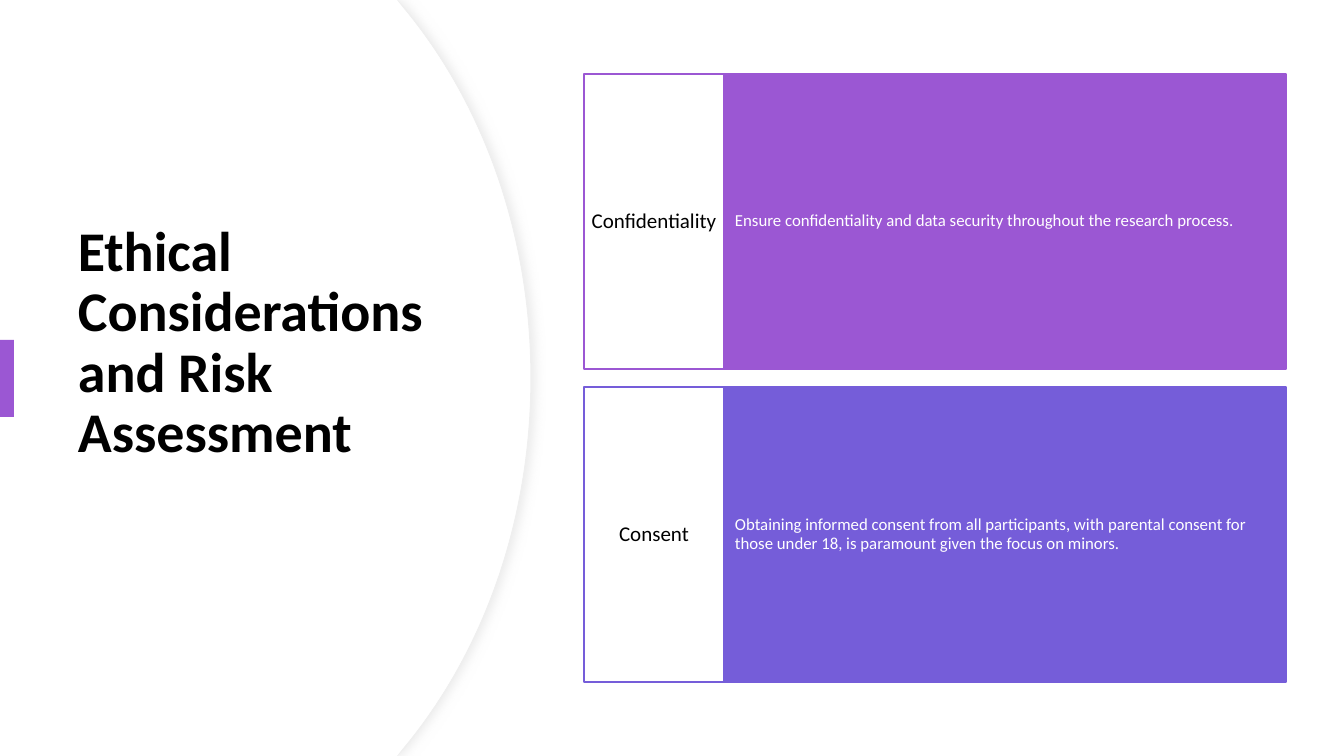
from lxml import etree
from pptx import Presentation
from pptx.dml.color import RGBColor
from pptx.enum.shapes import MSO_SHAPE as Shape
from pptx.enum.text import MSO_ANCHOR as Anchor, PP_ALIGN as Align
from pptx.oxml import parse_xml
from pptx.oxml.ns import nsdecls, qn
from pptx.util import Emu, Pt

PX = 914400 / 100.8
PURPLE, INDIGO, WHITE, BLACK = "9B57D3", "755DD9", "FFFFFF", "000000"


def style(shape, fill, line=None, width=1):
    shape.shadow.inherit = False
    shape.fill.solid()
    shape.fill.fore_color.rgb = RGBColor.from_string(fill)
    if line:
        shape.line.color.rgb = RGBColor.from_string(line)
        shape.line.width = Pt(width)
    else:
        shape.line.fill.background()


def write(shape, text, size, color, align, insets, bold=False):
    frame = shape.text_frame
    frame.word_wrap = True
    frame.vertical_anchor = Anchor.MIDDLE
    frame.margin_left, frame.margin_top, frame.margin_right, frame.margin_bottom = [
        Emu(round(inset * PX)) for inset in insets]
    paragraph = frame.paragraphs[0]
    paragraph.alignment = align
    paragraph.line_spacing = 0.9
    run = paragraph.add_run()
    run.text = text
    run.font.name = "Calibri"
    run.font.size = Pt(size)
    run.font.bold = bold
    run.font.color.rgb = RGBColor.from_string(color)


presentation = Presentation()
presentation.slide_width = Emu(round(1344 * PX))
presentation.slide_height = Emu(round(756 * PX))
slide = presentation.slides.add_slide(presentation.slide_layouts[6])
shapes = slide.shapes

# Curved left panel: an edged layer with a soft shadow, then a plain layer
for right, edge in ((531, "EFEFEF"), (530, None)):
    upper = [(397, 0), (right - 127, 8), (right - 48, 103), (right, 234)]
    lower = [(x, 756 - y) for x, y in reversed(upper)]
    builder = shapes.build_freeform(0, 0, scale=PX)
    builder.add_line_segments(upper + [(right, 378)] + lower + [(0, 756)], close=True)
    curve = builder.convert_to_shape()
    style(curve, WHITE, edge, 0.75)

    # Each curve takes two control points and an end point from the outline
    segments = list(curve._element.iter(qn("a:lnTo")))
    for first in (2, 5):
        bezier = etree.Element(qn("a:cubicBezTo"))
        segments[first].addprevious(bezier)
        for segment in segments[first:first + 3]:
            bezier.append(segment[0])
            segment.getparent().remove(segment)

    if edge:
        effects = curve._element.spPr.find(qn("a:effectLst"))
        effects.append(parse_xml(
            f'<a:outerShdw {nsdecls("a")} blurRad="{Pt(7)}" dist="{Pt(3)}" dir="0" '
            'algn="l" rotWithShape="0"><a:srgbClr val="D9D9D9"><a:alpha val="50000"/>'
            '</a:srgbClr></a:outerShdw>'))

# Title
title = shapes.add_textbox(*[Emu(round(v * PX)) for v in (68, 128, 397, 499)])
write(title, "Ethical Considerations and Risk Assessment", 40, BLACK, Align.LEFT,
      (10, 5, 10, 72), bold=True)

# Accent bar on the left edge
accent = shapes.add_shape(Shape.RECTANGLE, *[Emu(round(v * PX)) for v in (0, 340, 14, 77)])
style(accent, PURPLE)

# Rows: a coloured panel with a white label beside it
rows = [
    ("Confidentiality", PURPLE,
     "Ensure confidentiality and data security throughout the research process."),
    ("Consent", INDIGO,
     "Obtaining informed consent from all participants, with parental consent for "
     "those under 18, is paramount given the focus on minors."),
]
for index, (label, color, detail) in enumerate(rows):
    top = 74 + index * 313
    for left, width, fill, text, size, ink, align, insets in (
            (724, 562, color, detail, 12, WHITE, Align.LEFT, (11, 75, 11, 75)),
            (584, 140, WHITE, label, 15, BLACK, Align.CENTER, (7, 29, 7, 29))):
        box = shapes.add_shape(Shape.RECTANGLE,
                               *[Emu(round(v * PX)) for v in (left, top, width, 295)])
        style(box, fill, color)
        write(box, text, size, ink, align, insets)

presentation.save("out.pptx")
